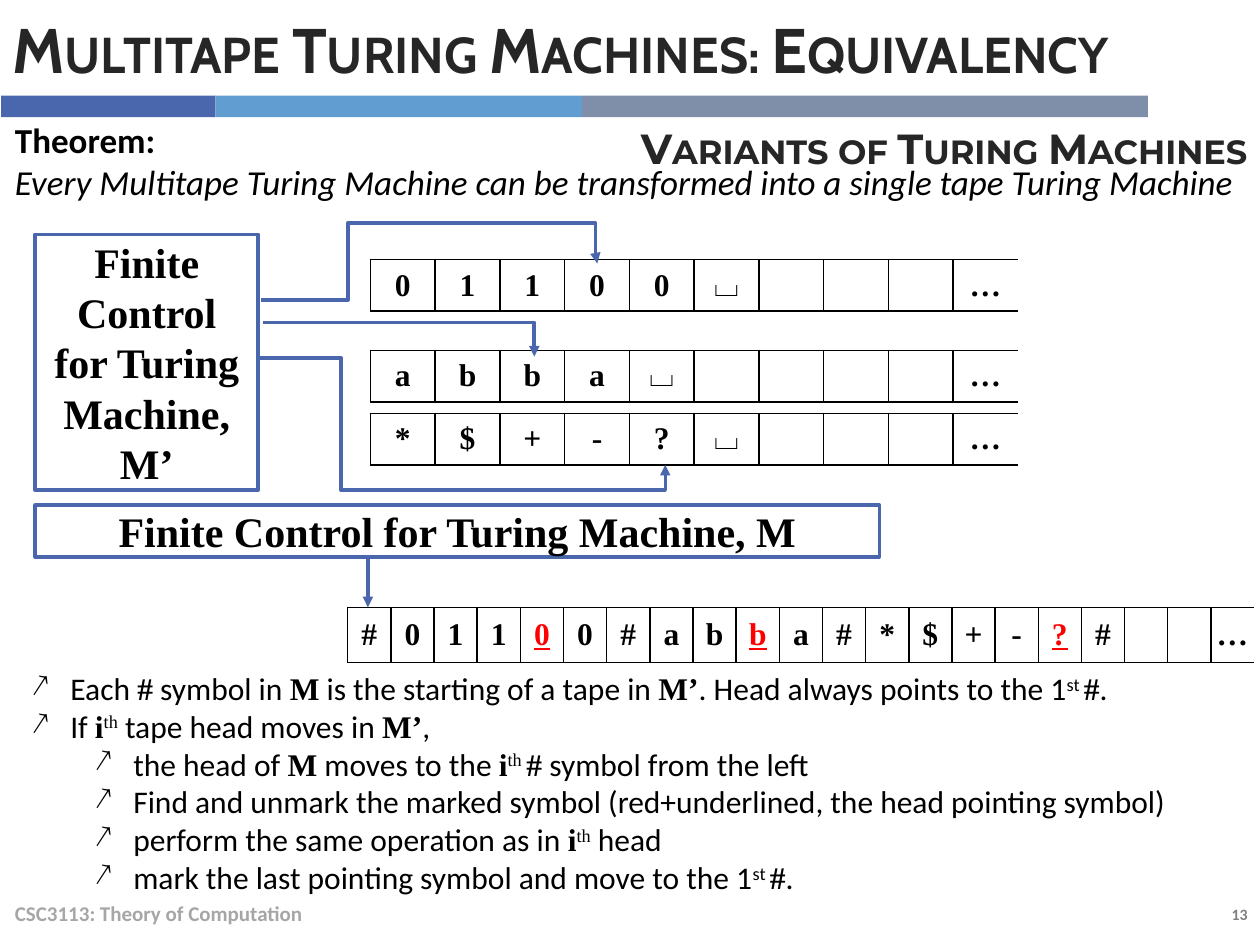
from pptx import Presentation
from pptx.dml.color import RGBColor
from pptx.enum.shapes import MSO_CONNECTOR, MSO_SHAPE
from pptx.enum.text import MSO_ANCHOR, PP_ALIGN
from pptx.oxml.ns import qn
from pptx.util import Inches, Pt
from lxml.etree import SubElement

BLUE = RGBColor(0x4A, 0x66, 0xAC)
SKY = RGBColor(0x62, 0x9D, 0xD1)
SLATE = RGBColor(0x7F, 0x8F, 0xA9)
INK = RGBColor(0x26, 0x26, 0x26)
BLACK = RGBColor(0, 0, 0)
RED = RGBColor(0xFF, 0, 0)
GRAY = RGBColor(0x80, 0x80, 0x80)
SILVER = RGBColor(0xA6, 0xA6, 0xA6)
SANS = "Calibri"
SERIF = "Times New Roman"
COLS, ROWS = 100, 75

RUN_STYLES = {"*": (SERIF, True, False), "^": (SANS, False, True), "~": (SERIF, False, True)}
RULES = [
    (0, "Each |*#| symbol in |*M| is the starting of a tape in |*M’|. Head always points to the 1|^st |*#|."),
    (0, "If |*i|~th| tape head moves in |*M’|,"),
    (1, "the head of |*M| moves to the |*i|~th |*#| symbol from the left"),
    (1, "Find and unmark the marked symbol (red+underlined, the head pointing symbol)"),
    (1, "perform the same operation as in |*i|~th| head"),
    (1, "mark the last pointing symbol and move to the 1|^st |*#|."),
]


class Deck:
    def __init__(self):
        self.prs = Presentation()
        self.prs.slide_width, self.prs.slide_height = Inches(10), Inches(7.5)
        self.s = self.prs.slides.add_slide(self.prs.slide_layouts[6])

    def x(self, col):
        return round(self.prs.slide_width * col / COLS)

    def y(self, row):
        return round(self.prs.slide_height * row / ROWS)

    def box(self, col, row, w, h):
        return self.x(col), self.y(row), self.x(w), self.y(h)

    def style(self, r, size, font=SANS, color=BLACK, bold=False, italic=False):
        f = r.font
        f.size, f.name, f.bold, f.italic = Pt(size), font, bold, italic
        f.color.rgb = color

    def frame(self, at, anchor=MSO_ANCHOR.TOP):
        tf = self.s.shapes.add_textbox(*self.box(*at)).text_frame
        tf.word_wrap = True
        tf.vertical_anchor = anchor
        return tf

    def label(self, at, text, size, color, font=SANS, align=PP_ALIGN.LEFT, anchor=MSO_ANCHOR.MIDDLE):
        p = self.frame(at, anchor).paragraphs[0]
        p.text, p.alignment = text, align
        self.style(p.runs[0], size, font, color, bold=True)
        return p

    def heading(self, at, text, size, font, align=PP_ALIGN.LEFT):
        p = self.label(at, text, size, INK, font, align)
        p.space_before = Pt(6)
        p.runs[0].font._element.set("cap", "small")

    def rect(self, at):
        sp = self.s.shapes.add_shape(MSO_SHAPE.RECTANGLE, *self.box(*at))
        sp.shadow.inherit = False
        return sp

    def bar(self, at, color):
        sp = self.rect(at)
        sp.fill.solid()
        sp.fill.fore_color.rgb = color
        sp.line.fill.background()

    def control(self, at, text):
        sp = self.rect(at)
        sp.fill.background()
        sp.line.color.rgb, sp.line.width = BLUE, Pt(2)
        tf = sp.text_frame
        tf.word_wrap, tf.vertical_anchor = True, MSO_ANCHOR.MIDDLE
        tf.text = text
        p = tf.paragraphs[0]
        p.alignment = PP_ALIGN.CENTER
        self.style(p.runs[0], 24, SERIF, bold=True)

    def tape(self, at, symbols, marked=()):
        gf = self.s.shapes.add_table(1, len(symbols), *self.box(*at))
        table = gf.table
        table.first_row = table.horz_banding = False
        table.rows[0].height = self.y(at[3])
        last = len(symbols) - 1
        for i, symbol in enumerate(symbols):
            table.columns[i].width = self.x(at[2] / len(symbols))
            cell = table.cell(0, i)
            cell.margin_left = cell.margin_right = cell.margin_top = cell.margin_bottom = 0
            cell.vertical_anchor = MSO_ANCHOR.MIDDLE
            self.borders(cell, open_right=i == last)
            cell.fill.background()
            if symbol == " ":
                continue
            p = cell.text_frame.paragraphs[0]
            p.text, p.alignment = symbol, PP_ALIGN.CENTER
            self.style(p.runs[0], 18, SERIF, RED if i in marked else BLACK, bold=True)
            p.runs[0].font.underline = i in marked

    def borders(self, cell, open_right):
        tcPr = cell._tc.get_or_add_tcPr()
        for side in "LRTB":
            ln = SubElement(tcPr, qn(f"a:ln{side}"), w=str(Pt(1)))
            if side == "R" and open_right:
                SubElement(ln, qn("a:noFill"))
            else:
                SubElement(SubElement(ln, qn("a:solidFill")), qn("a:srgbClr"), val=str(BLACK))

    def link(self, start, end, bend=None, arrow=False):
        kind = MSO_CONNECTOR.STRAIGHT if bend is None else MSO_CONNECTOR.ELBOW
        c = self.s.shapes.add_connector(
            kind, self.x(start[0]), self.y(start[1]), self.x(end[0]), self.y(end[1]))
        c.line.color.rgb, c.line.width = BLUE, Pt(2)
        spPr = c._element.spPr
        if bend is not None:
            avLst = spPr.find(qn("a:prstGeom")).get_or_add_avLst()
            SubElement(avLst, qn("a:gd"), name="adj1", fmla=f"val {round(bend * 100000)}")
        if arrow:
            SubElement(c.line._get_or_add_ln(), qn("a:tailEnd"), type="triangle")
        SubElement(spPr, qn("a:effectLst"))

    def theorem(self, at, title, statement):
        tf = self.frame(at)
        tf.text = f"{title}\n{statement}"
        first, second = tf.paragraphs
        self.style(first.runs[0], 20, bold=True)
        self.style(second.runs[0], 20, italic=True)

    def bullets(self, at, items):
        tf = self.frame(at)
        for i, (level, text) in enumerate(items):
            p = tf.paragraphs[0] if i == 0 else tf.add_paragraph()
            p.level = level
            p.alignment = PP_ALIGN.JUSTIFY if i == 0 else PP_ALIGN.LEFT
            pPr = p._p.get_or_add_pPr()
            pPr.set("marL", str(Inches(0.31 + 0.5 * level)))
            pPr.set("indent", str(Inches(-0.31)))
            SubElement(pPr, qn("a:buChar"), char="↗")
            for part in text.split("|"):
                font, bold, raised = RUN_STYLES.get(part[0], (SANS, False, False))
                r = p.add_run()
                r.text = part[1:] if part[0] in RUN_STYLES else part
                self.style(r, 18, font, bold=bold)
                if raised:
                    r.font._element.set("baseline", "30000")


def main():
    d = Deck()
    d.label((87.3, 71.3, 12.7, 2.5), "13", 9, GRAY, align=PP_ALIGN.RIGHT, anchor=MSO_ANCHOR.TOP)
    left = 0.1
    for width, color in ((17, BLUE), (29.1, SKY), (44.9, SLATE)):
        d.bar((left, 7.6, width, 1.7), color)
        left += width
    d.label((0.2, 70.5, 67, 4), "CSC3113: Theory of Computation", 12, SILVER)
    d.heading((0, 0, 91, 7.6), "Multitape Turing Machines: Equivalency", 36, "Cabin")
    d.heading((17, 9.3, 83, 4.8), "Variants of Turing Machines", 24, "Montserrat", PP_ALIGN.RIGHT)

    d.control((2.8, 18.6, 17.7, 20.3), "Finite Control for Turing Machine, M’")
    for row, symbols in ((20.6, "01100⌴   …"), (27.8, "abba⌴    …"), (32.8, "*$+-?⌴   …")):
        d.tape((29.4, row, 51.4, 4.1), symbols)
    d.link((20.9, 25.6), (42.4, 28.3), bend=1, arrow=True)
    d.link((20.7, 23.8), (34.5, 17.7), bend=0.5)
    d.link((34.5, 17.7), (47.4, 20.9), bend=0.99, arrow=True)
    d.link((20.5, 28.4), (39.8, 38.9), bend=0.34)
    d.link((39.3, 38.9), (52.8, 36.9), bend=1, arrow=True)

    d.control((2.8, 40.1, 67, 4.1), "Finite Control for Turing Machine, M")
    d.tape((27.6, 48.2, 72, 4.4), "#01100#abba#*$+-?#  …", marked=(4, 9, 16))
    d.link((29.2, 44.3), (29.2, 48.2), arrow=True)

    d.theorem((0.2, 8.9, 99.8, 7.7), "Theorem:",
              "Every Multitape Turing Machine can be transformed into a single tape Turing Machine")
    d.bullets((1.5, 52.6, 98.1, 19.2), RULES)
    d.prs.save("out.pptx")


if __name__ == "__main__":
    main()
